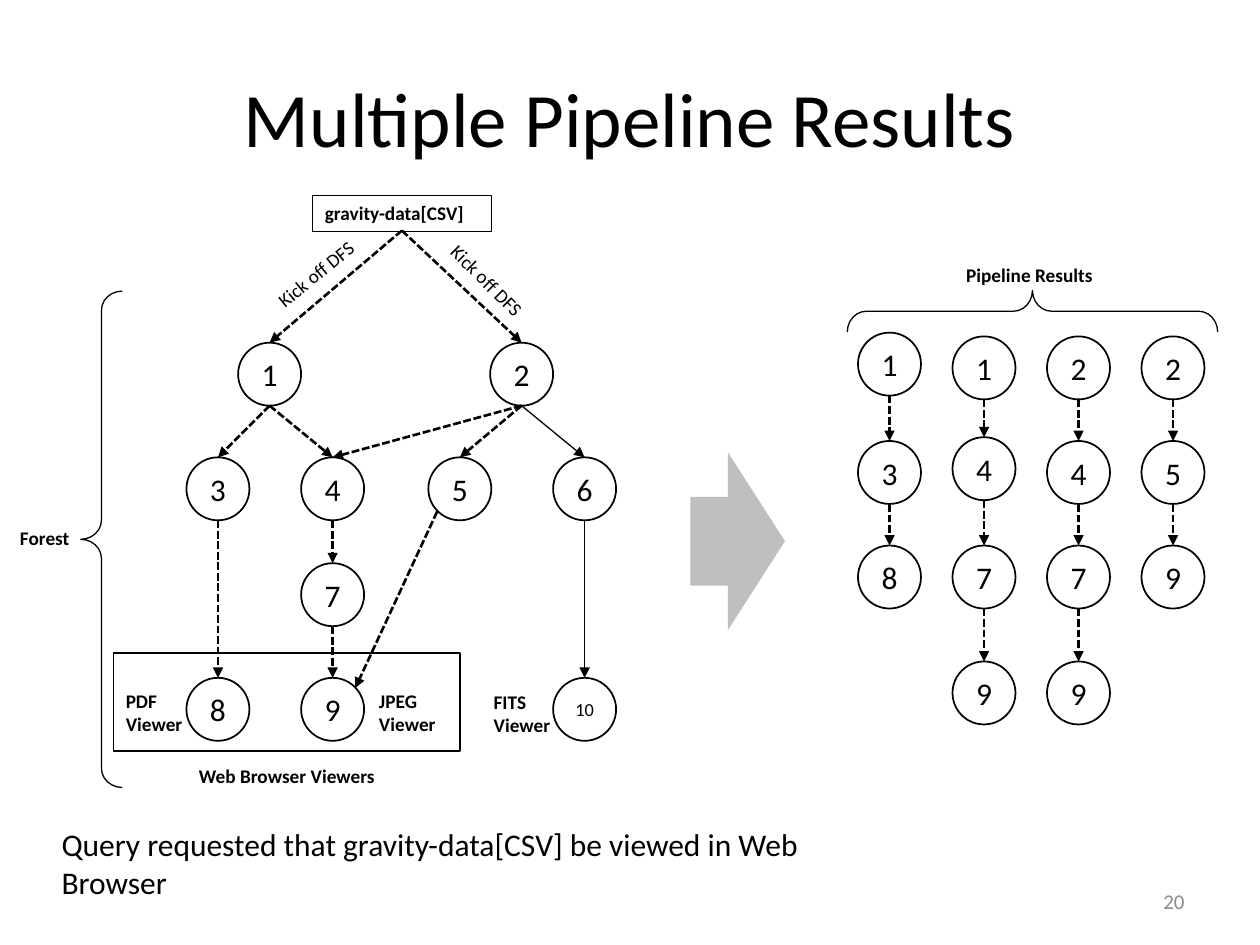
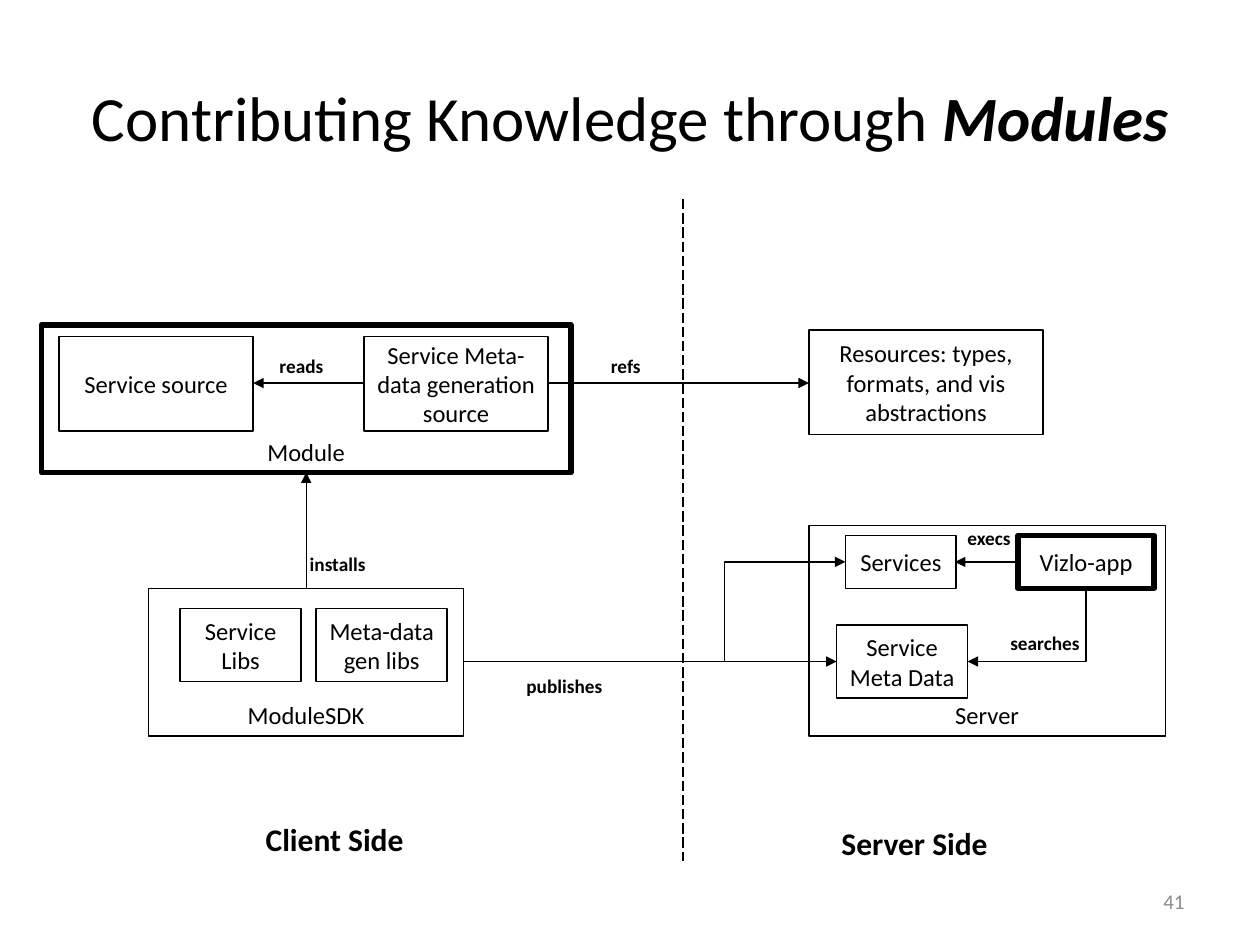
from lxml.etree import SubElement
from pptx import Presentation
from pptx.dml.color import RGBColor
from pptx.enum.dml import MSO_LINE
from pptx.enum.shapes import MSO_CONNECTOR, MSO_SHAPE
from pptx.enum.text import MSO_ANCHOR, PP_ALIGN
from pptx.oxml.ns import qn
from pptx.util import Inches, Pt

BLACK = RGBColor(0x00, 0x00, 0x00)
PAGE_GRAY = RGBColor(0x8C, 0x8C, 0x8C)
ARROW_GRAY = RGBColor(0xBF, 0xBF, 0xBF)
FONT = "Calibri"
NODE = 0.5
RADIUS = NODE / 2
DASH = MSO_LINE.SQUARE_DOT


class Deck:
    def __init__(self):
        self.prs = Presentation()
        self.prs.slide_width = Inches(10)
        self.prs.slide_height = Inches(7.5)

    def slide(self, title, size, page):
        self.s = self.prs.slides.add_slide(self.prs.slide_layouts[6])
        self.text(0.5, 0.3, 9, 1.25, title, size, align=PP_ALIGN.CENTER,
                  anchor=MSO_ANCHOR.MIDDLE)
        self.text(7.17, 6.95, 2.33, 0.4, page, 12, align=PP_ALIGN.RIGHT,
                  anchor=MSO_ANCHOR.MIDDLE, color=PAGE_GRAY)

    def put_text(self, sp, text, size, bold=False, align=PP_ALIGN.LEFT,
                 anchor=MSO_ANCHOR.TOP, color=BLACK, wrap=True):
        tf = sp.text_frame
        tf.word_wrap = wrap
        tf.vertical_anchor = anchor
        for i, line in enumerate(text.split("\n")):
            p = tf.add_paragraph() if i else tf.paragraphs[0]
            p.alignment = align
            for j, part in enumerate(line.split("*")):
                if not part:
                    continue
                r = p.add_run()
                r.text = part
                r.font.name = FONT
                r.font.size = Pt(size)
                r.font.bold = bold or j % 2 == 1
                r.font.italic = j % 2 == 1
                r.font.color.rgb = color

    def text(self, x, y, w, h, text, size=11, rotation=0, **style):
        sp = self.s.shapes.add_textbox(Inches(x), Inches(y), Inches(w), Inches(h))
        sp.rotation = rotation
        self.put_text(sp, text, size, **style)

    def label(self, x, y, w, text, h=0.29, size=11):
        self.text(x, y, w, h, text, size, bold=True)

    def shape(self, kind, x, y, w, h, line=1, fill=None, rotation=0, adj=()):
        sp = self.s.shapes.add_shape(kind, Inches(x), Inches(y), Inches(w), Inches(h))
        sp.shadow.inherit = False
        sp.rotation = rotation
        for i, value in enumerate(adj):
            sp.adjustments[i] = value
        if fill is None:
            sp.fill.background()
        else:
            sp.fill.solid()
            sp.fill.fore_color.rgb = fill
        if line:
            sp.line.color.rgb = BLACK
            sp.line.width = Pt(line)
        else:
            sp.line.fill.background()
        return sp

    def box(self, x, y, w, h, text, line=1, anchor=MSO_ANCHOR.MIDDLE):
        sp = self.shape(MSO_SHAPE.RECTANGLE, x, y, w, h, line)
        self.put_text(sp, text, 14, align=PP_ALIGN.CENTER, anchor=anchor)

    def node(self, x, y, text, size=18):
        sp = self.shape(MSO_SHAPE.OVAL, x, y, NODE, NODE)
        self.put_text(sp, text, size, align=PP_ALIGN.CENTER,
                      anchor=MSO_ANCHOR.MIDDLE, wrap=False)

    def brace(self, x, y, w, h, rotation):
        self.shape(MSO_SHAPE.RIGHT_BRACE, x, y, w, h, 0.75,
                   rotation=rotation, adj=(0.461, 0.5))

    def line(self, start, end, width=0.75, dash=None, head=True,
             kind=MSO_CONNECTOR.STRAIGHT):
        c = self.s.shapes.add_connector(kind, *map(Inches, (*start, *end)))
        c.line.color.rgb = BLACK
        c.line.width = Pt(width)
        if dash:
            c.line.dash_style = dash
        sp_pr = c._element.spPr
        if head:
            SubElement(sp_pr.find(qn("a:ln")), qn("a:tailEnd"), type="triangle")
        SubElement(sp_pr, qn("a:effectLst"))
        return c

    def dashed(self, start, end):
        self.line(start, end, 1.5, DASH)

    def step(self, start, end, bend):
        c = self.line(start, end, kind=MSO_CONNECTOR.ELBOW)
        av = c._element.spPr.prstGeom.get_or_add_avLst()
        SubElement(av, qn("a:gd"), name="adj1", fmla=f"val {round(bend * 100000)}")

    def corner(self, start, end):
        cx, cy = (start[0] + end[0]) / 2, (start[1] + end[1]) / 2
        dx, dy = abs(end[0] - start[0]) / 2, abs(end[1] - start[1]) / 2
        c = self.line((cx - dy, cy - dx), (cx + dy, cy + dx),
                      kind=MSO_CONNECTOR.ELBOW)
        c._element.spPr.prstGeom.set("prst", "bentConnector2")
        c._element.spPr.find(qn("a:xfrm")).set("rot", "5400000")


def top(node):
    return node[0] + RADIUS, node[1]


def bottom(node):
    return node[0] + RADIUS, node[1] + NODE


def pipeline_slide(d):
    d.slide("Multiple Pipeline Results", 44, "20")
    forest = {
        1: (1.89, 2.72), 2: (3.89, 2.72),
        3: (1.48, 3.63), 4: (2.39, 3.63), 5: (3.4, 3.63), 6: (4.39, 3.63),
        7: (2.39, 4.47),
        8: (1.48, 5.38), 9: (2.39, 5.38), 10: (4.39, 5.38),
    }
    for number, spot in forest.items():
        d.node(*spot, str(number), 18 if number < 10 else 10.5)
    for a, b in ((1, 3), (1, 4), (3, 8), (4, 7), (7, 9), (2, 5), (2, 4)):
        d.dashed(bottom(forest[a]), top(forest[b]))
    for a, b in ((2, 6), (6, 10)):
        d.line(bottom(forest[a]), top(forest[b]))
    d.dashed((3.47, 4.06), (2.82, 5.46))

    d.label(0.9, 5.42, 0.9, "PDF Viewer", 0.47)
    d.label(2.91, 5.42, 0.74, "JPEG\nViewer", 0.47)
    d.label(3.82, 5.43, 0.74, "FITS\nViewer", 0.47)
    d.label(1.48, 6.02, 1.83, "Web Browser Viewers")
    d.label(0.06, 4.13, 0.67, "Forest")
    d.label(7.57, 2.04, 1.33, "Pipeline Results")
    data = d.shape(MSO_SHAPE.RECTANGLE, 2.48, 1.55, 1.42, 0.29, 0.75)
    d.put_text(data, "gravity-data[CSV]", 11, bold=True)
    for root in (1, 2):
        d.dashed((3.19, 1.83), top(forest[root]))
    d.shape(MSO_SHAPE.RECTANGLE, 0.9, 5.18, 2.75, 0.78)
    d.brace(0.64, 2.31, 0.33, 3.94, 180)
    d.brace(8.03, 1, 0.33, 2.94, 270)

    results = (
        ((1, 2.64), (3, 3.5), (8, 4.33)),
        ((1, 2.67), (4, 3.47), (7, 4.33), (9, 5.25)),
        ((2, 2.67), (4, 3.5), (7, 4.33), (9, 5.25)),
        ((2, 2.67), (5, 3.5), (9, 4.33)),
    )
    for column, chain in enumerate(results):
        x = 6.81 + 0.75 * column
        for number, y in chain:
            d.node(x, y, str(number))
        for (_, y1), (_, y2) in zip(chain, chain[1:]):
            d.dashed(bottom((x, y1)), top((x, y2)))

    d.shape(MSO_SHAPE.RIGHT_ARROW, 5.48, 3.59, 0.75, 1.41, 0, ARROW_GRAY,
            adj=(0.5, 0.603))
    d.text(0.39, 6.5, 6.33, 0.71,
           "Query requested that gravity-data[CSV] be viewed in Web Browser", 18)
    for x, y, angle in ((2.03, 1.98, 320.8), (3.38, 2.14, 44.7)):
        d.text(x, y, 1.08, 0.29, "Kick off DFS", rotation=angle)


def modules_slide(d):
    d.slide("Contributing Knowledge through *Modules*", 36, "41")
    for x, y, w, h, name, line in (
        (0.33, 2.58, 4.2, 1.17, "Module", 3.25),
        (1.18, 4.67, 2.5, 1.17, "ModuleSDK", 1),
        (6.42, 4.17, 2.83, 1.67, "Server", 1),
    ):
        d.box(x, y, w, h, name, line, MSO_ANCHOR.BOTTOM)
    for x, y, w, h, name in (
        (0.47, 2.67, 1.54, 0.75, "Service source"),
        (2.89, 2.67, 1.46, 0.75, "Service Meta-data generation source"),
        (1.43, 4.83, 0.96, 0.58, "Service Libs"),
        (2.51, 4.83, 1.04, 0.58, "Meta-data gen libs"),
        (6.42, 2.62, 1.86, 0.83, "Resources: types, formats, and vis abstractions"),
        (6.64, 4.96, 1.04, 0.58, "Service Meta Data"),
        (6.71, 4.25, 0.88, 0.42, "Services"),
    ):
        d.box(x, y, w, h, name)
    d.box(8.08, 4.25, 1.08, 0.42, "Vizlo-app", 3.25)

    for start, end in (
        ((2.89, 3.04), (2.01, 3.04)),
        ((4.35, 3.04), (6.42, 3.04)),
        ((2.43, 4.67), (2.43, 3.75)),
        ((8.08, 4.46), (7.58, 4.46)),
        ((3.68, 5.25), (6.64, 5.25)),
    ):
        d.line(start, end)
    d.step((3.68, 5.25), (6.71, 4.46), 0.684)
    d.corner((8.62, 4.67), (7.68, 5.25))
    d.line((5.42, 1.58), (5.42, 6.83), dash=MSO_LINE.LONG_DASH, head=False)

    for x, y, w, verb in (
        (2.12, 2.76, 0.67, "reads"),
        (4.75, 2.76, 0.67, "refs"),
        (2.36, 4.33, 0.83, "installs"),
        (7.58, 4.13, 0.67, "execs"),
        (4.08, 5.3, 0.83, "publishes"),
        (7.92, 4.96, 0.83, "searches"),
    ):
        d.label(x, y, w, verb)
    d.label(2.01, 6.46, 1.4, "Client Side", 0.4, 18)
    d.label(6.58, 6.49, 1.4, "Server Side", 0.4, 18)


def main():
    d = Deck()
    pipeline_slide(d)
    modules_slide(d)
    d.prs.save("out.pptx")


if __name__ == "__main__":
    main()
